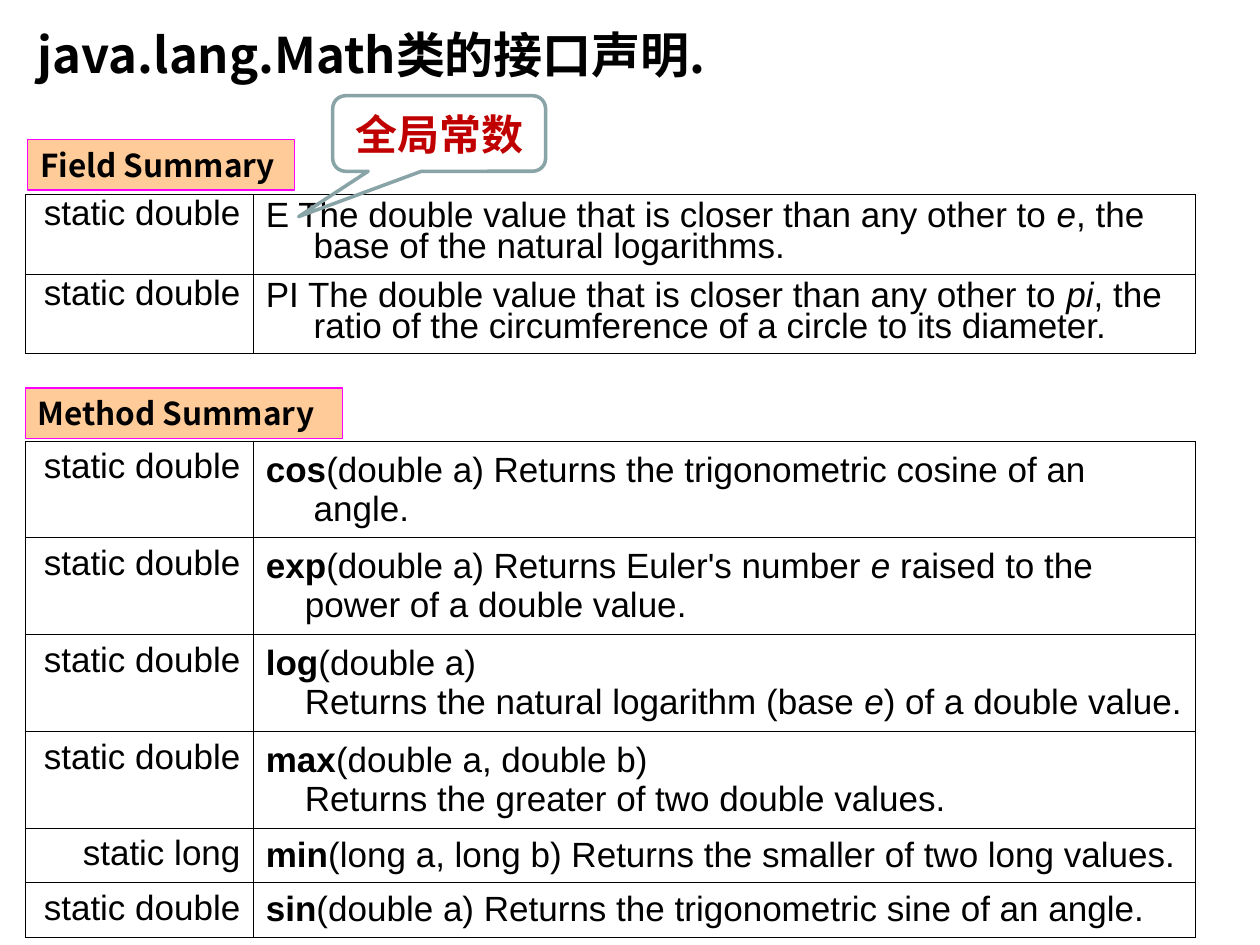
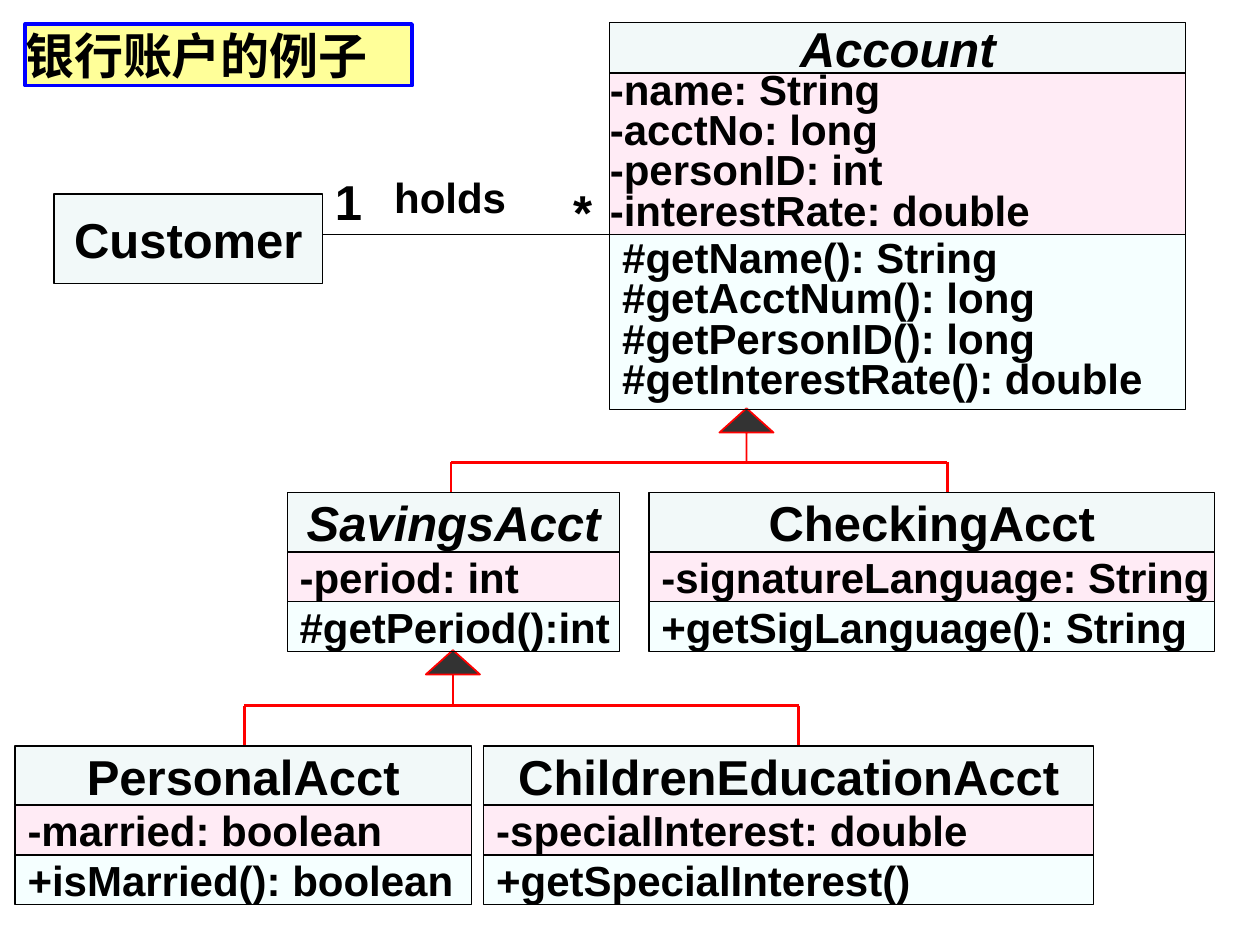
import dataclasses

import lxml.etree
import pptx
import pptx.dml.color
import pptx.enum.shapes
import pptx.enum.text
import pptx.oxml.ns
import pptx.util

ALIGN = pptx.enum.text.PP_ALIGN
ANCHOR = pptx.enum.text.MSO_ANCHOR
PRESET = pptx.enum.shapes.MSO_SHAPE
qn = pptx.oxml.ns.qn

COLUMNS = 100  # the slide is a grid of 100 columns by 75 rows
ROWS = 75
SLIDE_WIDTH = pptx.util.Inches(10)
SLIDE_HEIGHT = pptx.util.Inches(7.5)


@dataclasses.dataclass(frozen=True)
class Theme:
    latin: str = "Arial"
    chinese: str = "Noto Sans CJK SC"
    ink: str = "000000"
    paper: str = "FFFFFF"
    label_fill: str = "FFCC99"
    label_line: str = "FF00FF"
    title_fill: str = "FFFF99"
    title_line: str = "0000FF"
    callout_ink: str = "C00000"
    callout_line: str = "89A4A7"
    name_fill: str = "BBE0E3"
    attribute_fill: str = "FF99CC"
    method_fill: str = "CCFFFF"
    tint: int = 19
    inheritance: str = "FF0000"
    arrow_fill: str = "333333"
    title_size: int = 28
    member_size: int = 24
    table_size: int = 20
    label_size: int = 18
    hairline: float = 0.34
    thin: float = 0.75


THEME = Theme()


def across(columns):
    return round(SLIDE_WIDTH * columns / COLUMNS)


def down(rows):
    return round(SLIDE_HEIGHT * rows / ROWS)


def box(left, top, width, height):
    return across(left), down(top), across(width), down(height)


def assign(target, **values):
    for attribute, value in values.items():
        setattr(target, attribute, value)


def rgb(colour):
    return pptx.dml.color.RGBColor.from_string(colour)


def add_run(paragraph, text, size, face=THEME.latin, colour=THEME.ink,
            bold=False, italic=False):
    run = paragraph.add_run()
    run.text = text
    assign(run.font, name=face, size=pptx.util.Pt(size), bold=bold, italic=italic)
    run.font.color.rgb = rgb(colour)
    east_asian = lxml.etree.SubElement(run.font._element, qn("a:ea"))
    east_asian.set("typeface", THEME.chinese)


def write(shape, lines, size, align=ALIGN.LEFT, anchor=ANCHOR.MIDDLE,
          inset=1, right_inset=None, spacing=1.0, **font):
    """Fill a shape with one paragraph per line; insets are in grid columns."""
    frame = shape.text_frame
    assign(frame, word_wrap=True, vertical_anchor=anchor,
           auto_size=pptx.enum.text.MSO_AUTO_SIZE.NONE,
           margin_left=across(inset),
           margin_right=across(inset if right_inset is None else right_inset),
           margin_top=down(inset / 2), margin_bottom=down(inset / 2))
    for index, line in enumerate(lines):
        paragraph = frame.add_paragraph() if index else frame.paragraphs[0]
        assign(paragraph, alignment=align, line_spacing=spacing)
        add_run(paragraph, line, size, **font)


def paint(shape, fill=None, line=None, width=THEME.thin, opacity=None):
    shape.shadow.inherit = False
    if fill:
        shape.fill.solid()
        shape.fill.fore_color.rgb = rgb(fill)
    else:
        shape.fill.background()
    if opacity:
        colour = shape._element.spPr.find(".//" + qn("a:srgbClr"))
        lxml.etree.SubElement(colour, qn("a:alpha")).set("val", str(opacity * 1000))
    if line:
        shape.line.color.rgb = rgb(line)
        shape.line.width = pptx.util.Pt(width)


def add_preset(slide, preset, area, adjustments=(), **look):
    shape = slide.shapes.add_shape(preset, *box(*area))
    for index, value in enumerate(adjustments):
        shape.adjustments[index] = value
    paint(shape, **look)
    return shape


def add_line(slide, start, end, colour, width):
    line = slide.shapes.add_connector(
        pptx.enum.shapes.MSO_CONNECTOR.STRAIGHT,
        across(start[0]), down(start[1]), across(end[0]), down(end[1]))
    line.line.color.rgb = rgb(colour)
    line.line.width = pptx.util.Pt(width)
    lxml.etree.SubElement(line._element.spPr, qn("a:effectLst"))


def add_titled_slide(deck, title, area, inset=1, face=THEME.latin):
    slide = deck.slides.add_slide(deck.slide_layouts[5])
    heading = slide.shapes.title
    places = zip(("left", "top", "width", "height"), box(*area))
    assign(heading, **dict(places))
    write(heading, [title], THEME.title_size, inset=inset, face=face, bold=True)
    return slide


def add_section_label(slide, text, area):
    label = add_preset(slide, PRESET.RECTANGLE, area,
                       fill=THEME.label_fill, line=THEME.label_line)
    write(label, [text], THEME.label_size, face=THEME.chinese, bold=True)


def format_cell(cell, anchor):
    cell.vertical_anchor = anchor
    cell.fill.solid()
    cell.fill.fore_color.rgb = rgb(THEME.paper)
    properties = cell._tc.get_or_add_tcPr()
    for index, side in enumerate(("lnL", "lnR", "lnT", "lnB")):
        border = lxml.etree.Element(
            qn(f"a:{side}"), w=str(pptx.util.Pt(THEME.hairline)))
        fill = lxml.etree.SubElement(border, qn("a:solidFill"))
        lxml.etree.SubElement(fill, qn("a:srgbClr")).set("val", THEME.ink)
        properties.insert(index, border)


def indent(paragraph, left, first):
    properties = paragraph._p.get_or_add_pPr()
    properties.set("marL", str(across(left)))
    properties.set("indent", str(across(first)))


def add_summary_table(slide, left, top, entries, heights, spacing=1.0):
    """Each entry is a return type and paragraphs of (text, style) runs."""
    widths = (18.1, 74.8)
    area = box(left, top, sum(widths), sum(heights))
    table = slide.shapes.add_table(len(entries), len(widths), *area).table
    assign(table, first_row=False, horz_banding=False)
    for column, width in zip(table.columns, widths):
        column.width = across(width)
    for row, height, (return_type, paragraphs) in zip(table.rows, heights, entries):
        row.height = down(height)
        type_cell, summary_cell = row.cells
        format_cell(type_cell, ANCHOR.TOP)
        format_cell(summary_cell, ANCHOR.MIDDLE)
        type_line = type_cell.text_frame.paragraphs[0]
        assign(type_line, alignment=ALIGN.RIGHT, line_spacing=spacing)
        add_run(type_line, return_type, THEME.table_size)
        frame = summary_cell.text_frame
        for index, runs in enumerate(paragraphs):
            paragraph = frame.add_paragraph() if index else frame.paragraphs[0]
            paragraph.line_spacing = spacing
            if index:
                indent(paragraph, 3.1, 0)
            else:
                indent(paragraph, 3.8, -3.8)
            for text, style in runs:
                add_run(paragraph, text, THEME.table_size,
                        bold=style == "b", italic=style == "i")


def add_class_name(slide, name, area, abstract=False):
    shape = add_preset(slide, PRESET.RECTANGLE, area, fill=THEME.name_fill,
                       line=THEME.ink, opacity=THEME.tint)
    write(shape, [name], THEME.title_size, align=ALIGN.CENTER,
          bold=True, italic=abstract)


def add_class(slide, left, top, width, name, attributes, methods,
              heights=(4.7, 3.95, 3.95), abstract=False, attribute_inset=1,
              spacing=1.0):
    """Stack the name, attribute and method compartments of a class."""
    add_class_name(slide, name, (left, top, width, heights[0]), abstract)
    compartments = ((attributes, THEME.attribute_fill, attribute_inset),
                    (methods, THEME.method_fill, 1))
    top += heights[0]
    for (members, fill, inset), height in zip(compartments, heights[1:]):
        shape = add_preset(slide, PRESET.RECTANGLE, (left, top, width, height),
                           fill=fill, line=THEME.ink, opacity=THEME.tint)
        write(shape, members, THEME.member_size, inset=inset, right_inset=0,
              spacing=spacing, bold=True)
        top += height


def add_inheritance(slide, parent_x, parent_bottom, bar_y, child_top, child_xs):
    size = 4.3
    add_line(slide, (child_xs[0], bar_y), (child_xs[-1], bar_y),
             THEME.inheritance, 1.5)
    for x in child_xs:
        add_line(slide, (x, bar_y), (x, child_top), THEME.inheritance, 1.5)
    add_preset(slide, PRESET.UP_ARROW,
               (parent_x - size / 2, parent_bottom, size, size), (0, 0.45),
               fill=THEME.arrow_fill, line=THEME.inheritance, width=1)


def add_association_label(slide, text, area, size):
    label = slide.shapes.add_textbox(*box(*area))
    write(label, [text], size, anchor=ANCHOR.TOP, bold=True)


FIELDS = [
    ("static double", [[("E The double value that is closer than any other to ", ""),
                        ("e", "i"), (", the base of the natural logarithms.", "")]]),
    ("static double", [[("PI The double value that is closer than any other to ", ""),
                        ("pi", "i"),
                        (", the ratio of the circumference of a circle to its diameter.", "")]]),
]
METHODS = [
    ("static double", [[("cos", "b"),
                        ("(double a) Returns the trigonometric cosine of an angle.", "")]]),
    ("static double", [[("exp", "b"), ("(double a) Returns Euler's number ", ""),
                        ("e", "i"), (" raised to the", "")],
                       [("power of a double value.", "")]]),
    ("static double", [[("log", "b"), ("(double a)", "")],
                       [("Returns the natural logarithm (base ", ""), ("e", "i"),
                        (") of a double value.", "")]]),
    ("static double", [[("max", "b"), ("(double a, double b)", "")],
                       [("Returns the greater of two double values.", "")]]),
    ("static long", [[("min", "b"),
                      ("(long a, long b) Returns the smaller of two long values.", "")]]),
    ("static double", [[("sin", "b"),
                        ("(double a) Returns the trigonometric sine of an angle.", "")]]),
]


def build_math_slide(deck):
    slide = add_titled_slide(deck, "java.lang.Math类的接口声明.",
                             (2, 1.4, 58.3, 5.7), face=THEME.chinese)
    add_summary_table(slide, 2, 35, METHODS, [7.68] * 4 + [4.33] * 2)
    add_summary_table(slide, 2, 15.4, FIELDS, [6.33] * 2, spacing=0.8)
    add_section_label(slide, "Field Summary", (2.2, 11.1, 21.2, 4))
    add_section_label(slide, "Method Summary", (2, 30.8, 25.2, 4))
    callout = add_preset(slide, PRESET.ROUNDED_RECTANGULAR_CALLOUT,
                         (26.4, 7.6, 16.9, 6), (-0.66, 1.1, 0.17),
                         line=THEME.callout_line, width=2)
    write(callout, ["全局常数"], THEME.member_size, align=ALIGN.CENTER,
          face=THEME.chinese, colour=THEME.callout_ink, bold=True)


def build_account_slide(deck):
    slide = add_titled_slide(deck, "银行账户的例子", (2, 1.9, 30.7, 4.9), inset=0)
    paint(slide.shapes.title, THEME.title_fill, THEME.title_line, 2)
    add_inheritance(slide, 59.25, 32.4, 36.7, 39.1, (35.8, 75.2))
    add_inheritance(slide, 35.95, 51.6, 56, 59.2, (19.4, 63.4))
    add_class_name(slide, "Customer", (4.3, 15.4, 21.3, 7.1))
    add_line(slide, (25.6, 18.6), (48.4, 18.6), THEME.ink, THEME.thin)
    add_association_label(slide, "holds", (30.3, 13.1, 11.8, 5), THEME.member_size)
    add_association_label(slide, "1", (25.6, 13.1, 3.1, 5.7), THEME.title_size)
    add_association_label(slide, "*", (44.5, 13.9, 3.1, 5.7), THEME.title_size)
    add_class(slide, 48.4, 1.8, 45.7, "Account",
              ["-name: String", "-acctNo: long", "-personID: int",
               "-interestRate: double"],
              ["#getName(): String", "#getAcctNum(): long",
               "#getPersonID(): long", "#getInterestRate(): double"],
              heights=(4, 12.8, 13.9), abstract=True, attribute_inset=0, spacing=0.8)
    add_class(slide, 22.8, 39.1, 26.4, "SavingsAcct",
              ["-period: int"], ["#getPeriod():int"], abstract=True)
    add_class(slide, 51.5, 39.1, 44.9, "CheckingAcct",
              ["-signatureLanguage: String"], ["+getSigLanguage(): String"])
    add_class(slide, 1.2, 59.2, 36.2, "PersonalAcct",
              ["-married: boolean"], ["+isMarried(): boolean"])
    add_class(slide, 38.4, 59.2, 48.4, "ChildrenEducationAcct",
              ["-specialInterest: double"], ["+getSpecialInterest()"])


def main():
    deck = pptx.Presentation()
    assign(deck, slide_width=SLIDE_WIDTH, slide_height=SLIDE_HEIGHT)
    build_math_slide(deck)
    build_account_slide(deck)
    deck.save("out.pptx")


if __name__ == "__main__":
    main()
